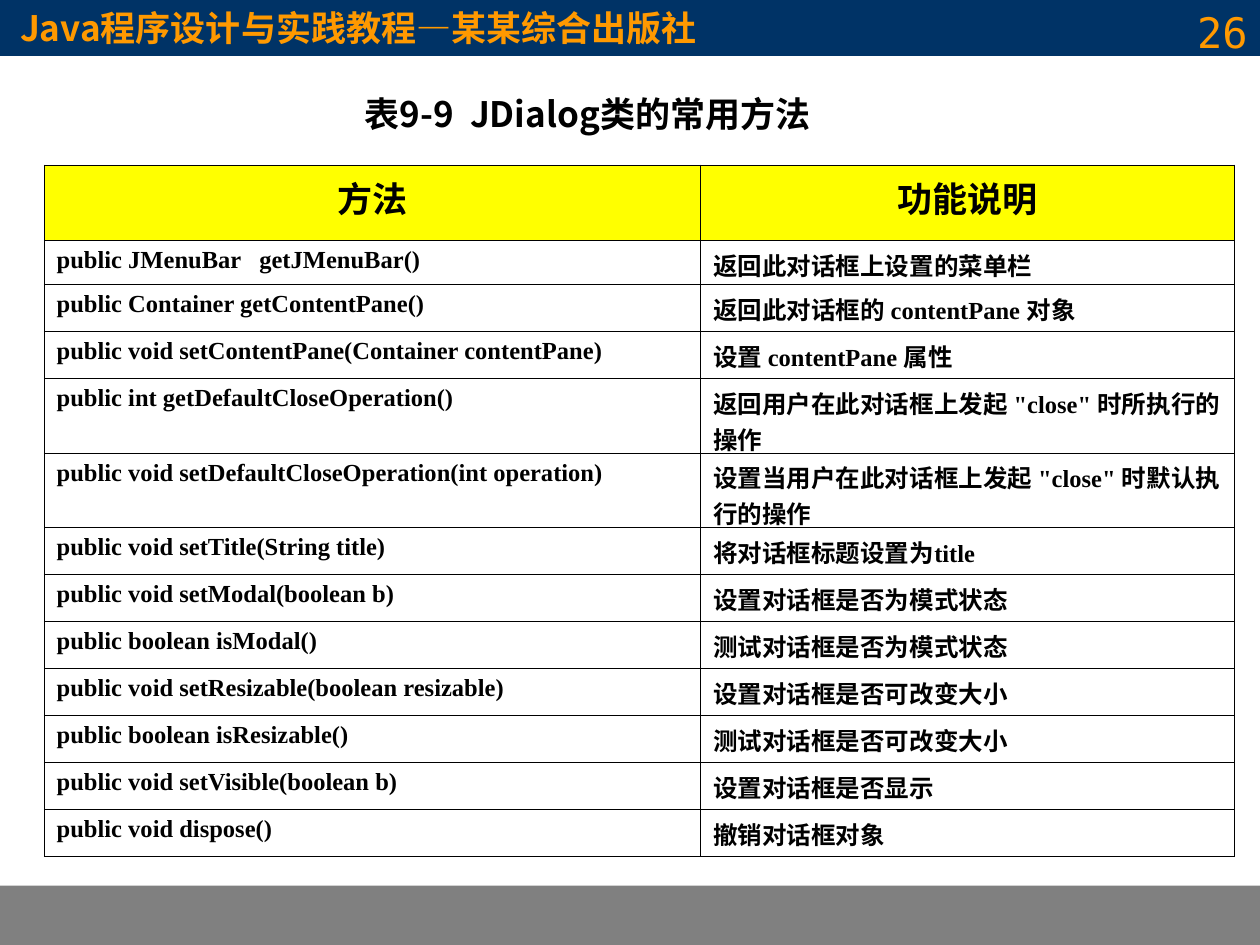
from typing import NamedTuple

from lxml import etree
from pptx import Presentation
from pptx.dml.color import RGBColor
from pptx.enum.shapes import MSO_SHAPE
from pptx.enum.text import MSO_ANCHOR, MSO_AUTO_SIZE, PP_ALIGN
from pptx.oxml.ns import qn
from pptx.util import Inches, Pt

RECT = MSO_SHAPE.RECTANGLE
TOP, MIDDLE = MSO_ANCHOR.TOP, MSO_ANCHOR.MIDDLE
LEFT, CENTER, RIGHT = PP_ALIGN.LEFT, PP_ALIGN.CENTER, PP_ALIGN.RIGHT
NO_FIT = MSO_AUTO_SIZE.NONE

NAVY = RGBColor(0x00, 0x33, 0x66)
ORANGE = RGBColor(0xFF, 0x99, 0x00)
GRAY = RGBColor(0x80, 0x80, 0x80)
YELLOW = RGBColor(0xFF, 0xFF, 0x00)
WHITE = RGBColor(0xFF, 0xFF, 0xFF)
BLACK = RGBColor(0x00, 0x00, 0x00)

SANS, SERIF, MONO = "Noto Sans CJK SC", "Times New Roman", "DejaVu Sans Mono"
SLIDE_W, SLIDE_H = Inches(10), Inches(7.5)
COLUMNS = (5.21, 4.24)
BORDER = Pt(0.45)


class Style(NamedTuple):
    font: str
    size: float
    color: RGBColor = BLACK
    bold: bool = True
    align: PP_ALIGN = LEFT


class Method(NamedTuple):
    signature: str
    purpose: str
    height: float = 0.373
    anchor: MSO_ANCHOR = TOP


METHODS = (
    Method("public JMenuBar   getJMenuBar()", "返回此对话框上设置的菜单栏", 0.35, MIDDLE),
    Method("public Container getContentPane()", "返回此对话框的 contentPane 对象", anchor=MIDDLE),
    Method("public void setContentPane(Container contentPane)", "设置 contentPane 属性", anchor=MIDDLE),
    Method("public int getDefaultCloseOperation()",
           '返回用户在此对话框上发起 "close" 时所执行的操作', 0.59, MIDDLE),
    Method("public void setDefaultCloseOperation(int operation)",
           '设置当用户在此对话框上发起 "close" 时默认执行的操作', 0.59, MIDDLE),
    Method("public void setTitle(String title)", "将对话框标题设置为title"),
    Method("public void setModal(boolean b)", "设置对话框是否为模式状态"),
    Method("public boolean isModal()", "测试对话框是否为模式状态"),
    Method("public void setResizable(boolean resizable)", "设置对话框是否可改变大小"),
    Method("public boolean isResizable()", "测试对话框是否可改变大小"),
    Method("public void setVisible(boolean b)", "设置对话框是否显示"),
    Method("public void dispose()", "撤销对话框对象"),
)

HEADER = Style(SANS, 20, ORANGE)
NUMBER = Style(MONO, 24, ORANGE, False, RIGHT)
CAPTION = Style(SANS, 20, align=CENTER)
HEADING = Style(SERIF, 20, align=CENTER)
BODY = Style(SERIF, 14)


def write(tf, text: str, style: Style) -> None:
    tf.text = text
    p = tf.paragraphs[0]
    p.alignment = style.align
    r = p.runs[0]
    r.font.name = style.font
    r.font.size = Pt(style.size)
    r.font.bold = style.bold
    r.font.color.rgb = style.color
    ea = etree.SubElement(r.font._element, qn("a:ea"))
    ea.set("typeface", SANS)


def add_band(s, top: float, height: float, color: RGBColor):
    sp = s.shapes.add_shape(RECT, 0, Inches(top), SLIDE_W, Inches(height))
    sp.shadow.inherit = False
    sp.fill.solid()
    sp.fill.fore_color.rgb = color
    sp.line.fill.background()
    return sp


def set_borders(cell) -> None:
    tc_pr = cell._tc.get_or_add_tcPr()
    for i, side in enumerate(("lnL", "lnR", "lnT", "lnB")):
        ln = etree.Element(qn(f"a:{side}"), w=str(BORDER))
        fill = etree.SubElement(ln, qn("a:solidFill"))
        etree.SubElement(fill, qn("a:srgbClr"), val=str(BLACK))
        tc_pr.insert(i, ln)


def fill_cell(cell, text: str, style: Style, color: RGBColor, anchor: MSO_ANCHOR) -> None:
    write(cell.text_frame, text, style)
    cell.vertical_anchor = anchor
    cell.margin_top = cell.margin_bottom = Inches(0.05)
    cell.fill.solid()
    cell.fill.fore_color.rgb = color
    set_borders(cell)


def add_methods(s) -> None:
    heights = [0.6] + [m.height for m in METHODS]
    table = s.shapes.add_table(len(heights), len(COLUMNS), Inches(0.35), Inches(1.31),
                               Inches(sum(COLUMNS)), Inches(sum(heights))).table
    for column, width in zip(table.columns, COLUMNS):
        column.width = Inches(width)
    for row, height in zip(table.rows, heights):
        row.height = Inches(height)
    for c, text in enumerate(("方法", "功能说明")):
        fill_cell(table.cell(0, c), text, HEADING, YELLOW, TOP)
    for i, m in enumerate(METHODS, 1):
        fill_cell(table.cell(i, 0), m.signature, BODY, WHITE, TOP)
        fill_cell(table.cell(i, 1), m.purpose, BODY, WHITE, m.anchor)


def main() -> None:
    prs = Presentation()
    prs.slide_width, prs.slide_height = SLIDE_W, SLIDE_H
    s = prs.slides.add_slide(prs.slide_layouts[5])

    add_band(s, 7.03, 0.47, GRAY)
    header = add_band(s, 0, 0.44, NAVY)
    header.line.color.rgb = NAVY
    header.line.width = Pt(0.75)
    tf = header.text_frame
    tf.vertical_anchor = MIDDLE
    tf.margin_left = Inches(0.16)
    write(tf, "Java程序设计与实践教程—某某综合出版社", HEADER)

    number = s.shapes.add_textbox(Inches(7.67), 0, Inches(2.33), Inches(0.52))
    number.text_frame.word_wrap = True
    write(number.text_frame, "26", NUMBER)

    title = s.shapes.title
    title.left, title.top = Inches(2.52), Inches(0.68)
    title.width, title.height = Inches(4.29), Inches(0.44)
    tf = title.text_frame
    tf.auto_size = NO_FIT
    tf.vertical_anchor = MIDDLE
    write(tf, "表9-9  JDialog类的常用方法", CAPTION)

    add_methods(s)
    prs.save("out.pptx")


if __name__ == "__main__":
    main()
